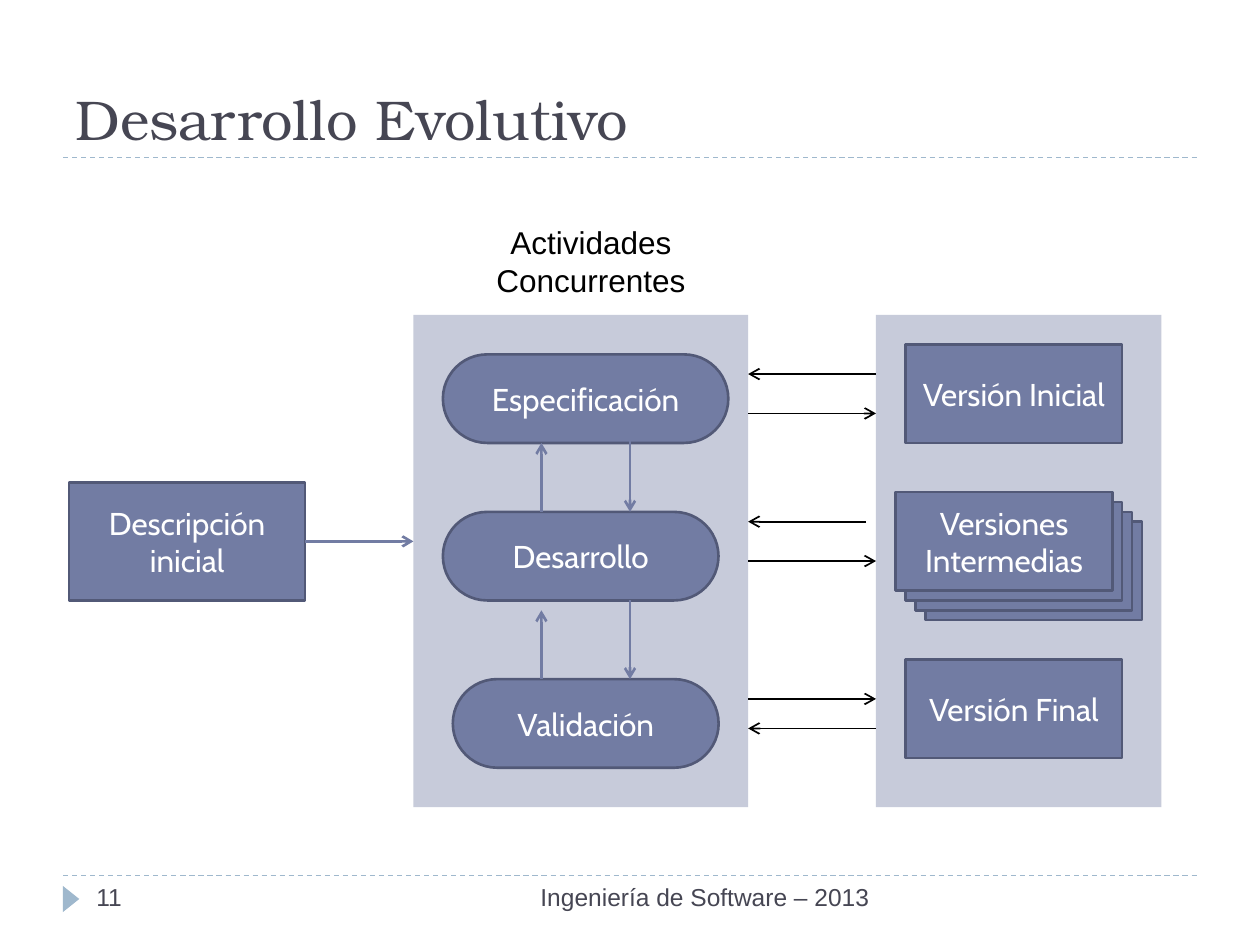
from dataclasses import dataclass

import pptx
import pptx.dml.color
import pptx.enum.dml
import pptx.enum.shapes
import pptx.enum.text
import pptx.oxml
import pptx.oxml.ns
import pptx.util

Pt = pptx.util.Pt
SHAPE = pptx.enum.shapes.MSO_SHAPE
ALIGN = pptx.enum.text.PP_ALIGN
ANCHOR = pptx.enum.text.MSO_ANCHOR
RIGHT_SIDE = 3


@dataclass(frozen=True)
class Theme:
    ink: str = "464653"
    black: str = "000000"
    white: str = "FFFFFF"
    box: str = "727CA3"
    border: str = "525977"
    panel: str = "C7CBDA"
    accent: str = "9FB8CD"
    title_font: str = "TeX Gyre Bonum"
    box_font: str = "Cabin"
    plain_font: str = "Arial"
    title_size: int = 32
    label_size: int = 18
    footer_size: int = 14


THEME = Theme()


def rgb(value):
    return pptx.dml.color.RGBColor.from_string(value)


def write(shape, lines, font, size, color, align, anchor, wrap=True):
    """Fill a shape with one paragraph per line."""
    frame = shape.text_frame
    frame.word_wrap = wrap
    frame.vertical_anchor = anchor
    frame.text = "\n".join(lines)
    for paragraph in frame.paragraphs:
        paragraph.alignment = align
        for name, value in {"name": font, "size": Pt(size)}.items():
            setattr(paragraph.font, name, value)
        paragraph.font.color.rgb = rgb(color)


def add_label(slide, bounds, lines, font, size, color,
              align=ALIGN.LEFT, anchor=ANCHOR.TOP, wrap=True):
    label = slide.shapes.add_textbox(*map(Pt, bounds))
    write(label, lines, font, size, color, align, anchor, wrap)


def add_block(slide, kind, bounds, fill, border=None):
    block = slide.shapes.add_shape(kind, *map(Pt, bounds))
    block.shadow.inherit = False
    block.fill.solid()
    block.fill.fore_color.rgb = rgb(fill)
    if border:
        block.line.color.rgb = rgb(border)
        block.line.width = Pt(1.5)
    else:
        block.line.fill.background()
    return block


def add_step(slide, kind, bounds, text=None):
    """Bordered box, with a centred label if text is given."""
    step = add_block(slide, kind, bounds, THEME.box, THEME.border)
    if kind == SHAPE.ROUNDED_RECTANGLE:
        step.adjustments[0] = 0.5
    if text:
        write(step, [text], THEME.box_font, THEME.label_size, THEME.white,
              ALIGN.CENTER, ANCHOR.MIDDLE)
    return step


def add_line(slide, start, end, color, width, dashed=False):
    line = slide.shapes.add_connector(
        pptx.enum.shapes.MSO_CONNECTOR.STRAIGHT, *map(Pt, (*start, *end)))
    line.line.color.rgb = rgb(color)
    line.line.width = Pt(width)
    if dashed:
        line.line.dash_style = pptx.enum.dml.MSO_LINE.DASH
    properties = line._element.spPr
    properties.append(pptx.oxml.parse_xml(
        f"<a:effectLst {pptx.oxml.ns.nsdecls('a')}/>"))
    return line


def add_arrow(slide, start, end, color, width):
    arrow = add_line(slide, start, end, color, width)
    arrow.line._get_or_add_ln().append(pptx.oxml.parse_xml(
        f'<a:tailEnd {pptx.oxml.ns.nsdecls("a")} type="arrow"/>'))
    return arrow


def add_frame(slide):
    """Title, dashed rules and footer."""
    for y in (500.4, 90):
        add_line(slide, (36, y), (684, y), THEME.accent, 0.75, dashed=True)
    marker = add_block(slide, SHAPE.ISOSCELES_TRIANGLE,
                       (33.1, 509, 15, 9.4), THEME.accent)
    marker.rotation = 90
    add_label(slide, (36, 12, 648, 78), ["Desarrollo Evolutivo"],
              THEME.title_font, THEME.title_size, THEME.ink,
              anchor=ANCHOR.BOTTOM)
    for bounds, text, align in (
            ((48, 500.4, 156, 28.8), "11", ALIGN.LEFT),
            ((228, 500.4, 276, 28.8), "Ingeniería de Software – 2013",
             ALIGN.RIGHT)):
        add_label(slide, bounds, [text], THEME.plain_font,
                  THEME.footer_size, THEME.ink, align)


def add_activities(slide):
    """Initial description and the concurrent activities."""
    add_block(slide, SHAPE.RECTANGLE, (236.25, 180, 191.25, 281.25),
              THEME.panel)
    add_label(slide, (276.5, 123.8, 122.4, 50.4),
              ["Actividades", "Concurrentes"], THEME.plain_font,
              THEME.label_size, THEME.black, ALIGN.CENTER, wrap=False)
    for text, x, y, width in (("Especificación", 253.1, 202.5, 163.1),
                              ("Desarrollo", 253.1, 292.5, 157.5),
                              ("Validación", 258.75, 388.1, 151.9)):
        add_step(slide, SHAPE.ROUNDED_RECTANGLE, (x, y, width, 50.6), text)

    description = add_step(slide, SHAPE.RECTANGLE, (39.4, 275.6, 135, 67.5),
                           "Descripción inicial")
    entry = add_arrow(slide, (174.4, 309.35), (236.25, 309.35),
                      THEME.box, 1.5)
    entry.begin_connect(description, RIGHT_SIDE)

    # Arrows down and up between activities
    for x, start, end in ((360, 247.5, 292.5), (360, 343.1, 388.1),
                          (309.4, 388.1, 348.75), (309.4, 292.5, 253.1)):
        add_arrow(slide, (x, start), (x, end), THEME.box, 1.5)


def add_versions(slide):
    """Versions, with the intermediate ones as a stack."""
    width, height, shift = 123.75, 56.25, 5.63
    add_block(slide, SHAPE.RECTANGLE, (500.6, 180, 163.1, 281.25),
              THEME.panel)
    for text, y in (("Versión Inicial", 196.9), ("Versión Final", 376.9)):
        add_step(slide, SHAPE.RECTANGLE, (517.5, y, width, height), text)
    for depth in (3, 2, 1, 0):
        add_step(slide, SHAPE.RECTANGLE,
                 (511.9 + depth * shift, 281.25 + depth * shift,
                  width, height),
                 None if depth else "Versiones Intermedias")


def add_exchanges(slide):
    """Arrows between the activities and the versions."""
    left, right = 427.5, 500.6
    for start, end, y in ((right, left, 213.75), (left, right, 236.25),
                          (495, left, 298.1), (left, right, 320.6),
                          (left, right, 399.4), (right, left, 416.25)):
        add_arrow(slide, (start, y), (end, y), THEME.black, 1)


def main():
    deck = pptx.Presentation()
    deck.slide_width, deck.slide_height = Pt(720), Pt(540)
    slide = deck.slides.add_slide(deck.slide_layouts[6])
    add_frame(slide)
    add_activities(slide)
    add_versions(slide)
    add_exchanges(slide)
    deck.save("out.pptx")


if __name__ == "__main__":
    main()
